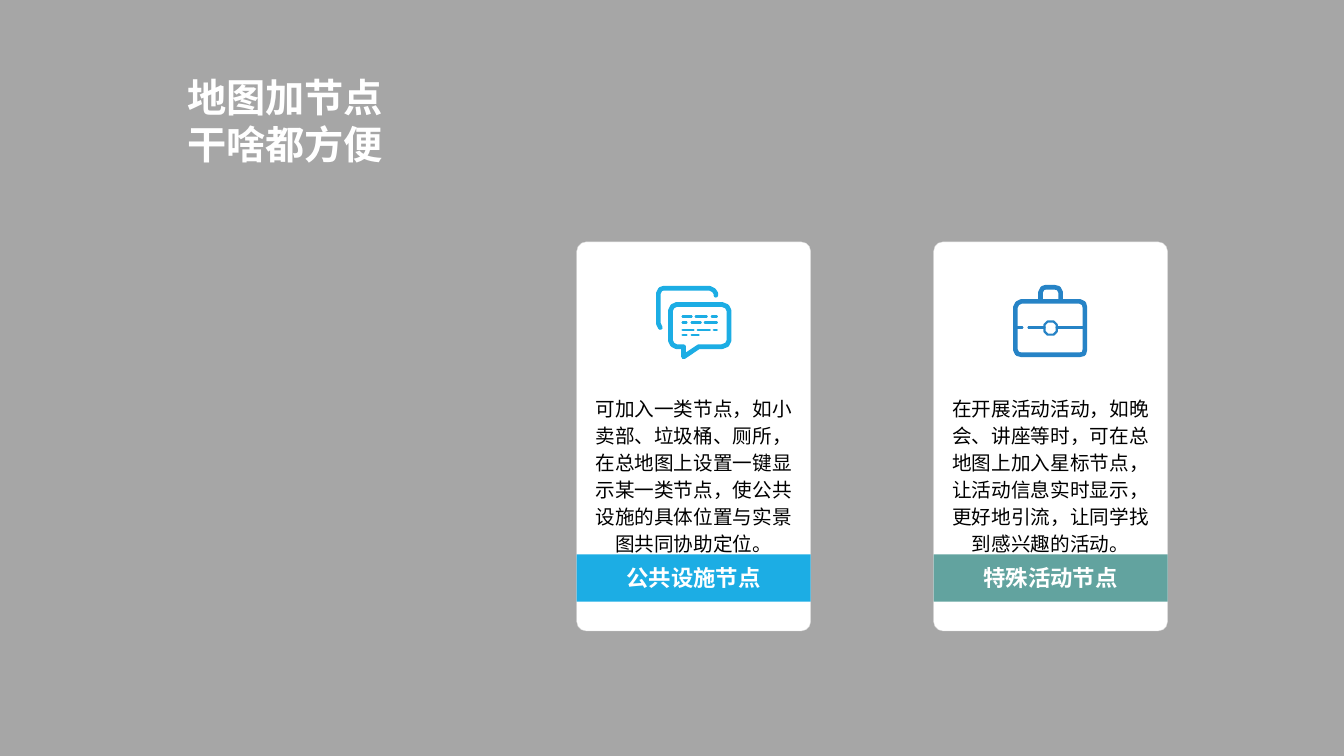
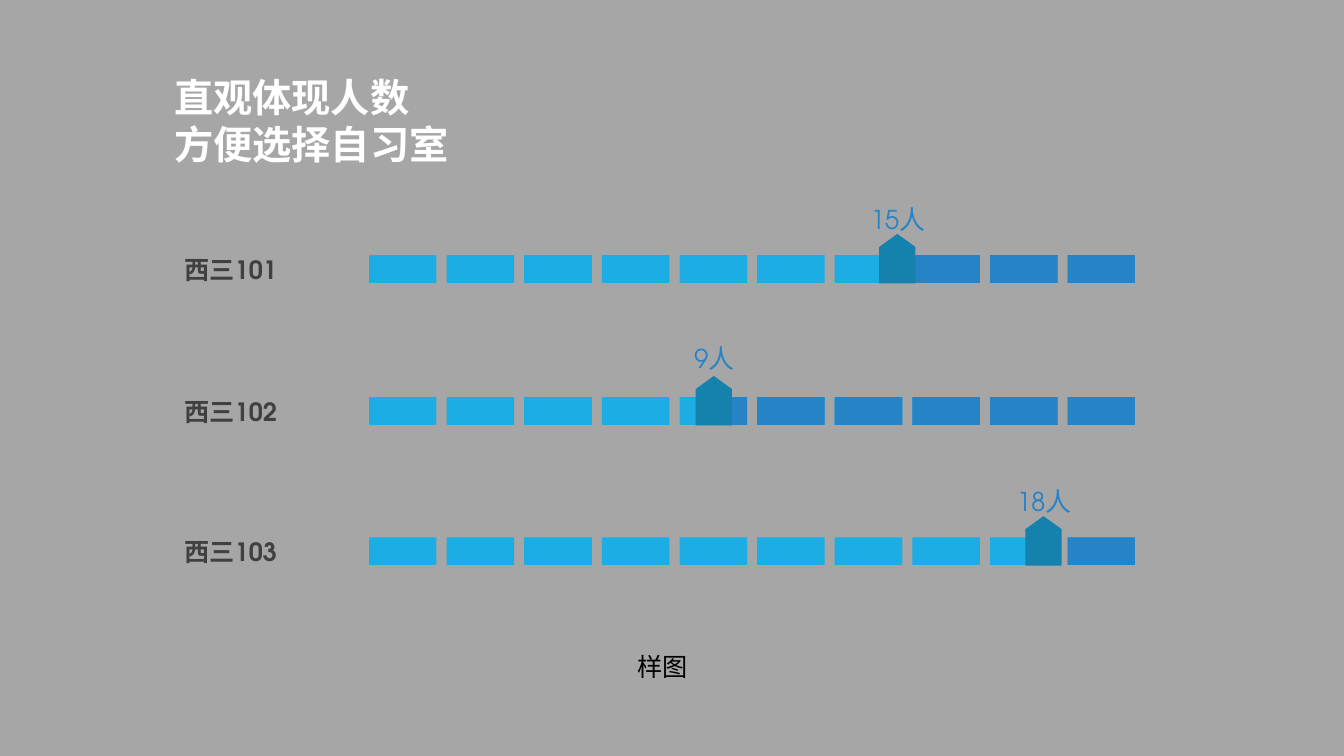
from lxml import etree
from pptx import Presentation
from pptx import util as u
from pptx.dml.color import RGBColor
from pptx.enum import shapes, text
from pptx.oxml.ns import qn

# Grid: 1333 columns by 750 rows of 0.01 inch
CELL = u.Inches(0.01)
COLUMNS, ROWS = 1333, 750
FONT = "TeX Gyre Adventor"
COLORS = {
    "background": "A6A6A6", "white": "FFFFFF", "black": "000000",
    "dark": "404040", "border": "D9D9D9", "sky": "1CADE4",
    "blue": "2683C6", "teal": "62A39F", "pointer": "1482AC",
}
RGB = {name: RGBColor.from_string(value) for name, value in COLORS.items()}


def write(parent, box, lines, size, color, bold=False, align=text.PP_ALIGN.LEFT,
          spacing=1.0, inset=True, font=FONT):
    """Add a text box with one paragraph per line."""
    frame = parent.add_textbox(*(CELL * v for v in box)).text_frame
    frame.word_wrap = True
    if inset:
        frame.auto_size = text.MSO_AUTO_SIZE.SHAPE_TO_FIT_TEXT
    else:
        frame.margin_left = frame.margin_right = 0
        frame.margin_top = frame.margin_bottom = 0
    for number, line in enumerate(lines):
        paragraph = frame.add_paragraph() if number else frame.paragraphs[0]
        paragraph.alignment = align
        paragraph.line_spacing = spacing
        run = paragraph.add_run()
        run.text = line
        run.font.size = u.Pt(size)
        run.font.name = font
        run.font.bold = bold
        run.font.color.rgb = RGB[color]


def draw(parent, contours, closed=True, fill=None, line=None, weight=0):
    """Add one freeform made of several contours, given in grid cells."""
    builder = parent.build_freeform(*contours[0][0], scale=CELL)
    for number, contour in enumerate(contours):
        if number:
            builder.move_to(*contour[0])
        builder.add_line_segments(contour[1:], close=closed)
    shape = builder.convert_to_shape()
    shape.shadow.inherit = False
    if fill:
        shape.fill.solid()
        shape.fill.fore_color.rgb = RGB[fill]
    else:
        shape.fill.background()
    if line:
        shape.line.color.rgb = RGB[line]
        shape.line.width = u.Pt(weight)
        outline = shape._element.spPr.find(qn("a:ln"))
        outline.set("cap", "rnd")
        etree.SubElement(outline, qn("a:round"))
    else:
        shape.line.fill.background()
    return shape


deck = Presentation()
deck.slide_width, deck.slide_height = CELL * COLUMNS, CELL * ROWS

# Shared background and title
titles = [
    (176, ["地图加节点", "干啥都方便"]),
    (163, ["直观体现人数", "方便选择自习室"]),
]
slides = []
for title_left, title_lines in titles:
    slide = deck.slides.add_slide(deck.slide_layouts[6])
    slide.background.fill.solid()
    slide.background.fill.fore_color.rgb = RGB["background"]
    write(slide.shapes, (title_left, 68, 459, 104), title_lines, 28, "white", bold=True)
    slides.append(slide)
nodes_slide, rooms_slide = slides

# Icon strokes: weight, closed, contours
chat_strokes = [
    (3.3, False, [[(655, 325), (653, 321), (653, 291), (655, 287), (658, 286),
                   (704, 286), (708, 288), (710, 291), (710, 293)]]),
    (3.4, True, [[(671, 302), (716, 302), (721, 304), (723, 308), (723, 338),
                  (721, 342), (716, 344), (693, 344), (678, 354), (678, 344),
                  (671, 344), (667, 342), (665, 338), (665, 308), (667, 304)]]),
    (1.6, False, [[(start, row), (end, row)] for row, dashes in [
        (314, [(677, 686), (690, 701), (706, 711)]),
        (320, [(677, 681), (686, 695), (699, 711)]),
        (327, [(677, 688), (692, 704), (708, 711)]),
        (332, [(677, 681), (686, 693)],),
    ] for start, end in dashes]),
]
briefcase_strokes = [
    (3.3, True, [[(1013, 299), (1071, 299), (1075, 301), (1076, 305), (1076, 347),
                  (1075, 351), (1071, 352), (1013, 352), (1009, 351), (1007, 347),
                  (1007, 305), (1009, 301)]]),
    (3.3, False, [[(1032, 298), (1032, 290), (1034, 286), (1037, 285), (1046, 285),
                   (1050, 286), (1052, 290), (1052, 298)]]),
    (1.6, True, [[(1039, 319), (1045, 319), (1048, 322), (1048, 329), (1045, 332),
                  (1039, 332), (1036, 329), (1036, 322)]]),
    (1.6, False, [[(start, 325), (end, 325)]
                  for start, end in [(1009, 1014), (1020, 1036), (1048, 1074)]]),
]

# Node cards
CARD_WIDTH = 232
cards = [
    (572, "sky", "sky", chat_strokes, "公共设施节点",
     "可加入一类节点，如小卖部、垃圾桶、厕所，在总地图上设置一键显示某一类节点，使公共设施的具体位置与实景图共同协助定位。"),
    (926, "teal", "blue", briefcase_strokes, "特殊活动节点",
     "在开展活动活动，如晚会、讲座等时，可在总地图上加入星标节点，让活动信息实时显示，更好地引流，让同学找到感兴趣的活动。"),
]
for left, band_color, icon_color, strokes, heading, description in cards:
    card = nodes_slide.shapes.add_group_shape().shapes
    panels = [
        (shapes.MSO_SHAPE.ROUNDED_RECTANGLE, 240, 386, "white"),
        (shapes.MSO_SHAPE.RECTANGLE, 550, 47, band_color),
    ]
    for kind, top, height, color in panels:
        panel = card.add_shape(kind, *(CELL * v for v in (left, top, CARD_WIDTH, height)))
        panel.shadow.inherit = False
        panel.fill.solid()
        panel.fill.fore_color.rgb = RGB[color]
        if kind == shapes.MSO_SHAPE.ROUNDED_RECTANGLE:
            panel.adjustments[0] = 0.04
            panel.line.color.rgb = RGB["border"]
            panel.line.width = u.Pt(0.25)
        else:
            panel.line.fill.background()
    for weight, closed, contours in strokes:
        draw(card, contours, closed, line=icon_color, weight=weight)
    write(card, (left + 7, 555, CARD_WIDTH - 14, 38), [heading], 16, "white",
          bold=True, align=text.PP_ALIGN.CENTER)
    write(card, (left + 7, 386, CARD_WIDTH - 14, 169), [description], 14, "black",
          align=text.PP_ALIGN.CENTER, spacing=1.14)

# Study room occupancy: name, people, filled percent, bar top, count top
BAR_LEFT, BAR_WIDTH, BAR_HEIGHT = 366, 760, 28
SEGMENTS, SEGMENT_WIDTH, PITCH = 10, 67, 77
POINTER_HALF = 18
rooms = [
    ("西三101", "15人", 69, 253, 202),
    ("西三102", "9人", 45, 394, 340),
    ("西三103", "18人", 88, 533, 482),
]
for room, people, percent, top, count_top in rooms:
    row = rooms_slide.shapes.add_group_shape().shapes
    bottom = top + BAR_HEIGHT
    center = BAR_LEFT + round(BAR_WIDTH * percent / 100)
    write(row, (center - 33, count_top, 67, 29), [people], 18.5, "blue",
          align=text.PP_ALIGN.CENTER, inset=False)

    # Segmented bar, with a hard colour change at the filled share
    lefts = [BAR_LEFT + PITCH * number for number in range(SEGMENTS)]
    bar = draw(row, [[(x, top), (x + SEGMENT_WIDTH, top),
                      (x + SEGMENT_WIDTH, bottom), (x, bottom)] for x in lefts])
    bar.fill.gradient()
    bar.fill.gradient_angle = 0
    stops = bar._element.spPr.find(qn("a:gradFill")).find(qn("a:gsLst"))
    for stop in list(stops):
        stops.remove(stop)
    for position, color in [(0, "sky"), (percent, "sky"), (percent, "blue"), (100, "blue")]:
        stop = etree.SubElement(stops, qn("a:gs"), pos=str(position * 1000))
        etree.SubElement(stop, qn("a:srgbClr"), val=COLORS[color])

    # Pointer and room name
    draw(row, [[(center, top - 21), (center + POINTER_HALF, top - 8),
                (center + POINTER_HALF, bottom), (center - POINTER_HALF, bottom),
                (center - POINTER_HALF, top - 8)]], fill="pointer")
    write(row, (173, top - 6, 233, 40), [room], 18, "dark", bold=True)

# Caption
write(rooms_slide.shapes, (622, 641, 265, 40), ["样图"], 18, "black", font="Calibri")

deck.save("out.pptx")
